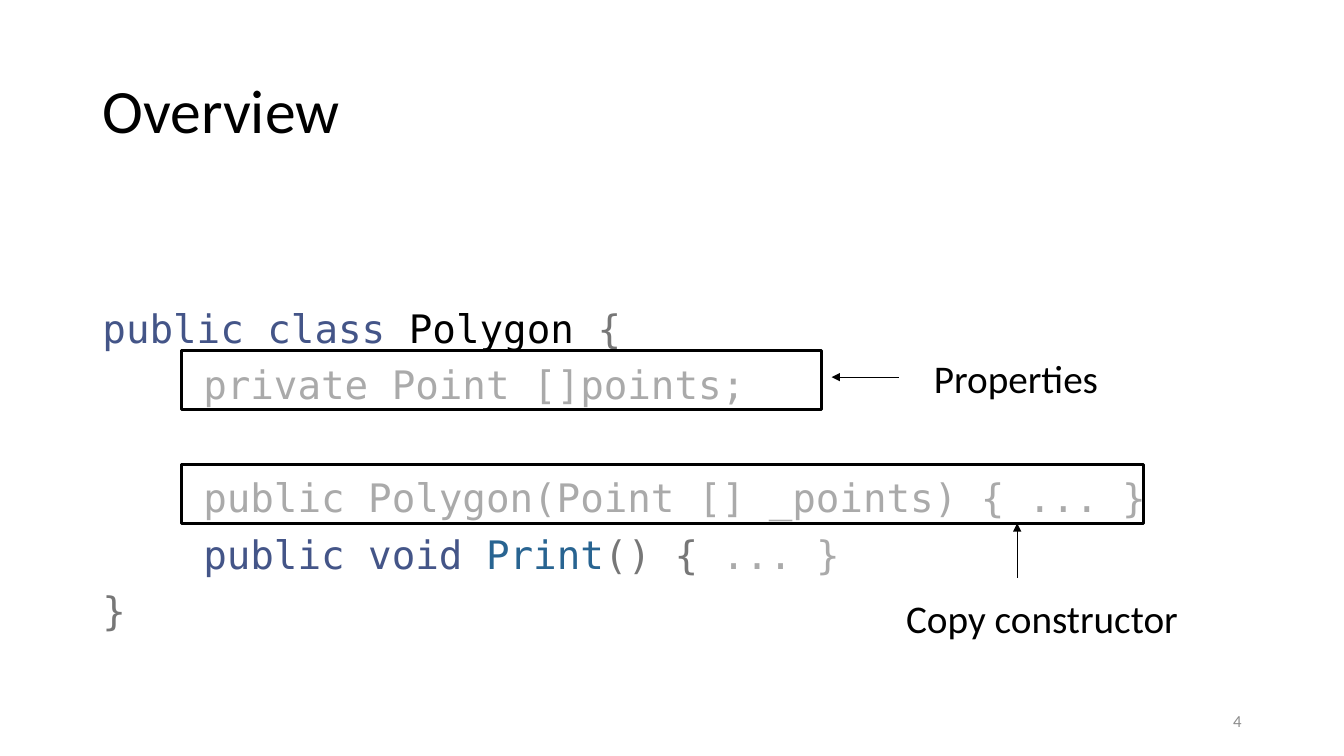
from lxml.etree import SubElement
from pptx import Presentation
from pptx.dml.color import RGBColor
from pptx.enum.shapes import MSO_CONNECTOR, MSO_SHAPE
from pptx.enum.text import MSO_ANCHOR, MSO_AUTO_SIZE, PP_ALIGN
from pptx.oxml.ns import qn
from pptx.util import Inches, Pt

WIDTH, HEIGHT = Inches(13.33), Inches(7.5)
COLUMNS, ROWS = 160, 90
SANS, MONO = "Calibri", "DejaVu Sans Mono"
COLORS = {
    "black": "000000",
    "keyword": "445588",
    "function": "286491",
    "symbol": "777777",
    "faded": "AAAAAA",
    "number": "8C8C8C",
}
CODE_LINES = [
    (0, 0, [("public class ", "keyword"), ("Polygon ", "black"), ("{", "symbol")]),
    (1, 10, [("private Point []points;", "faded")]),
    (1, 50.5, [("public Polygon(Point [] _points) { ... }", "faded")]),
    (1, 10, [("public void ", "keyword"), ("Print", "function"),
             ("() {", "symbol"), (" ... }", "faded")]),
    (0, 10, [("}", "symbol")]),
]


def across(columns):
    return round(WIDTH * columns / COLUMNS)


def down(rows):
    return round(HEIGHT * rows / ROWS)


def place(shape, box):
    left, top, width, height = box
    shape.left, shape.top = across(left), down(top)
    shape.width, shape.height = across(width), down(height)


def add_span(para, text, size, color, font=SANS):
    span = para.add_run()
    span.text = text
    span.font.name = font
    span.font.size = Pt(size)
    span.font.color.rgb = RGBColor.from_string(COLORS[color])


def add_title(page, box, text):
    title = page.shapes.title
    place(title, box)
    frame = title.text_frame
    frame.auto_size = MSO_AUTO_SIZE.NONE
    frame.vertical_anchor = MSO_ANCHOR.MIDDLE
    para = frame.paragraphs[0]
    para.alignment = PP_ALIGN.LEFT
    para.line_spacing = 0.9
    add_span(para, text, 44, "black")


def add_code(page, box):
    body = page.placeholders[1]
    place(body, box)
    frame = body.text_frame
    frame.auto_size = MSO_AUTO_SIZE.NONE
    frame.margin_top = down(12.85)
    for index, (level, space, spans) in enumerate(CODE_LINES):
        para = frame.add_paragraph() if index else frame.paragraphs[0]
        properties = para._p.get_or_add_pPr()
        properties.set("marL", str(across(12 * level)))
        properties.set("indent", "0")
        SubElement(properties, qn("a:buNone"))
        para.line_spacing = 0.9
        para.space_before = Pt(space)
        for text, color in spans:
            add_span(para, text, 28, color, MONO)


def add_text(page, box, text, size, color, align=PP_ALIGN.LEFT, anchor=MSO_ANCHOR.TOP):
    label = page.shapes.add_textbox(0, 0, 0, 0)
    place(label, box)
    frame = label.text_frame
    frame.word_wrap = True
    frame.vertical_anchor = anchor
    para = frame.paragraphs[0]
    para.alignment = align
    add_span(para, text, size, color)


def add_arrow(page, start, end):
    arrow = page.shapes.add_connector(
        MSO_CONNECTOR.STRAIGHT,
        across(start[0]), down(start[1]), across(end[0]), down(end[1]))
    arrow.line.color.rgb = RGBColor.from_string(COLORS["black"])
    arrow.line.width = Pt(0.5)
    SubElement(arrow.line._get_or_add_ln(), qn("a:tailEnd"), type="triangle")
    SubElement(arrow._element.spPr, qn("a:effectLst"))


def add_callout(page, box, label_box, text, start, end):
    outline = page.shapes.add_shape(MSO_SHAPE.RECTANGLE, 0, 0, 0, 0)
    place(outline, box)
    outline.shadow.inherit = False
    outline.fill.background()
    outline.line.color.rgb = RGBColor.from_string(COLORS["black"])
    outline.line.width = Pt(2.25)
    add_text(page, label_box, text, 28, "black")
    add_arrow(page, start, end)


def build_overview(deck):
    page = deck.slides.add_slide(deck.slide_layouts[1])
    add_title(page, (11, 4.8, 138, 17.4), "Overview")
    add_code(page, (11, 24, 138, 57.1))
    add_text(page, (113, 83.4, 36, 4.8), "4", 12, "number",
             PP_ALIGN.RIGHT, MSO_ANCHOR.MIDDLE)
    add_callout(page, (21.6, 41.75, 76.2, 7), (110, 41.55, 42, 6.8),
                "Properties", (107, 44.9), (99, 44.9))
    add_callout(page, (21.6, 55.3, 114.5, 7), (106.7, 70.2, 42, 6.8),
                "Copy constructor", (121.1, 68.8), (121.1, 62.3))


def main():
    deck = Presentation()
    deck.slide_width, deck.slide_height = WIDTH, HEIGHT
    build_overview(deck)
    deck.save("out.pptx")


if __name__ == "__main__":
    main()
